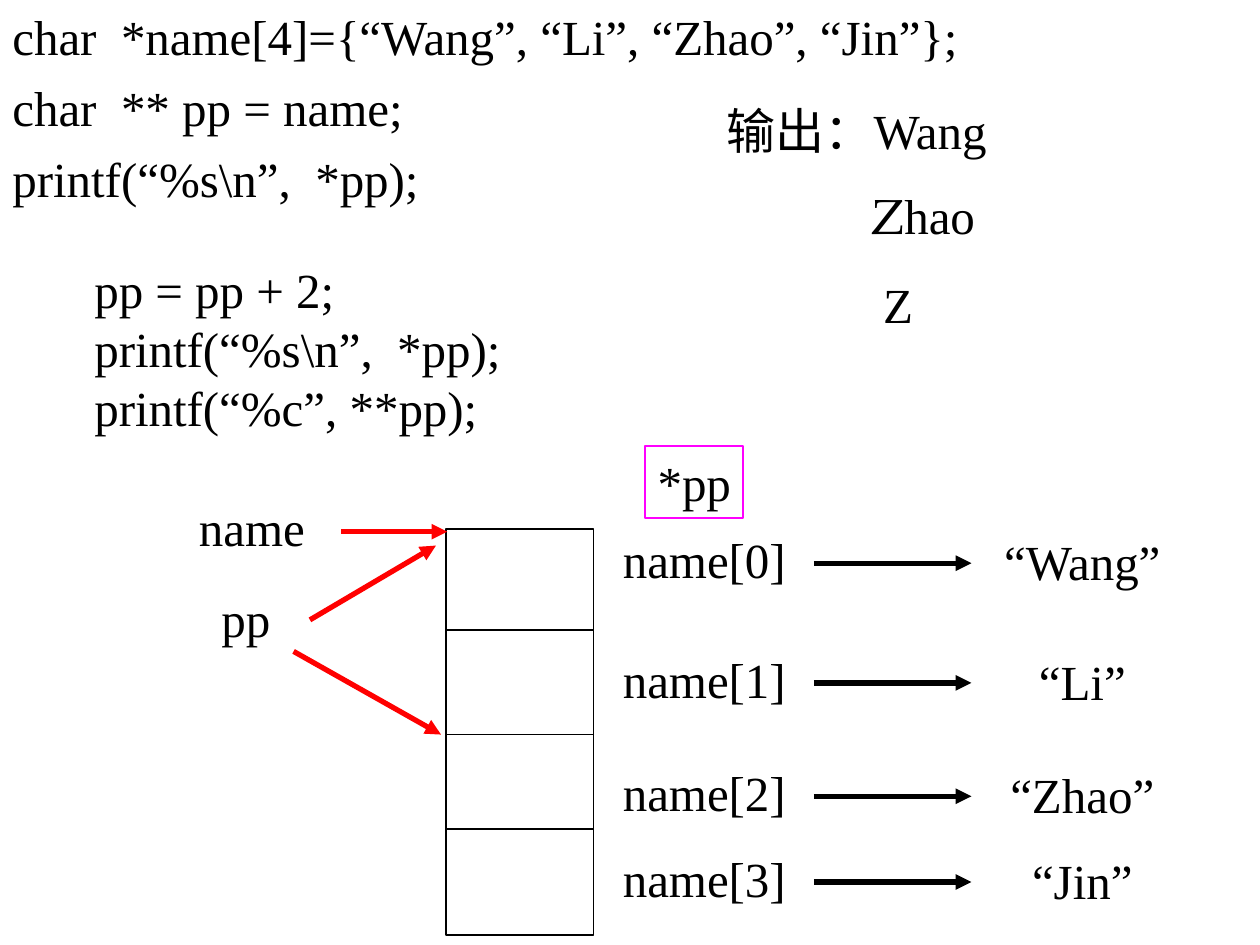
from dataclasses import dataclass
from typing import NamedTuple

from lxml import etree
from pptx import Presentation
from pptx import util as u
from pptx.dml.color import RGBColor
from pptx.enum import shapes, text
from pptx.oxml.ns import qn


@dataclass(frozen=True)
class Theme:
    font: str = "Times New Roman"
    accent: str = "TeX Gyre Pagella"
    size: int = 28
    ink: RGBColor = RGBColor(0, 0, 0)
    red: RGBColor = RGBColor(255, 0, 0)
    pink: RGBColor = RGBColor(255, 0, 255)
    thin: float = 1
    thick: float = 3


class Box(NamedTuple):
    x: float
    y: float
    w: float
    h: float


class Label(NamedTuple):
    words: str
    mid: float
    top: float
    width: float


class Row(NamedTuple):
    top: float
    value: str
    width: float


class Line(NamedTuple):
    x1: float
    y1: float
    x2: float
    y2: float


T = Theme()
HIGH = 0.57
ARRAY = Box(3.54, 4.2, 1.17, 3.22)
SPLITS = (5, 5.83, 6.58)
ROWS = (
    Row(4.15, "“Wang”", 1.47),
    Row(5.1, "“Li”", 0.89),
    Row(6, "“Zhao”", 1.34),
    Row(6.68, "“Jin”", 1),
)
POINTERS = (
    Line(2.71, 4.22, 3.55, 4.22),
    Line(2.46, 4.92, 3.46, 4.33),
    Line(2.33, 5.17, 3.5, 5.83),
)


def place(box: Box) -> list:
    return [u.Inches(n) for n in box]


def style(font) -> None:
    font.name, font.size = T.font, u.Pt(T.size)
    font.color.rgb = T.ink


def indent(para, left: float, first: float = 0) -> None:
    props = para._p.get_or_add_pPr()
    props.set("marL", str(u.Inches(left)))
    props.set("indent", str(u.Inches(first)))


def fill(frame, lines: list[str], gap: float = 0) -> None:
    frame.text = "\n".join(lines)
    for para in frame.paragraphs:
        para.space_before = u.Pt(gap)
        style(para.font)


def write(slide, box: Box, lines: list[str], gap: float = 0):
    frame = slide.shapes.add_textbox(*place(box)).text_frame
    frame.word_wrap = True
    fill(frame, lines, gap)
    return frame


def center(frame) -> None:
    frame.word_wrap = False
    frame.auto_size = text.MSO_AUTO_SIZE.SHAPE_TO_FIT_TEXT
    frame.vertical_anchor = text.MSO_ANCHOR.MIDDLE
    frame.paragraphs[0].alignment = text.PP_ALIGN.CENTER


def label(slide, item: Label) -> None:
    box = Box(item.mid - item.width / 2, item.top, item.width, HIGH)
    center(write(slide, box, [item.words]))


def frame_box(slide, box: Box, color: RGBColor):
    shape = slide.shapes.add_shape(shapes.MSO_SHAPE.RECTANGLE, *place(box))
    shape.shadow.inherit = False
    shape.fill.background()
    shape.line.color.rgb = color
    shape.line.width = u.Pt(T.thin)
    return shape


def rule(slide, line: Line, color: RGBColor, width: float, arrow: bool = False) -> None:
    ends = [u.Inches(n) for n in line]
    link = slide.shapes.add_connector(shapes.MSO_CONNECTOR.STRAIGHT, *ends)
    link.line.color.rgb = color
    link.line.width = u.Pt(width)
    if arrow:
        etree.SubElement(link.line._get_or_add_ln(), qn("a:tailEnd"), type="triangle")
    etree.SubElement(link._element.spPr, qn("a:effectLst"))


def code(slide) -> None:
    head = write(slide, Box(0, 0, 9.58, 2), [
        "char  *name[4]={“Wang”, “Li”, “Zhao”, “Jin”};",
        "char  ** pp = name;",
        "printf(“%s\\n”,  *pp);",
    ], 7)
    for para in head.paragraphs:
        indent(para, 0.38, -0.38)
    rest = write(slide, Box(0.65, 2.01, 3.52, 1.5), [
        "pp = pp + 2;", "printf(“%s\\n”,  *pp);", "printf(“%c”, **pp);",
    ])
    rest.vertical_anchor = text.MSO_ANCHOR.MIDDLE


def output(slide) -> None:
    write(slide, Box(5.67, 0.75, 2.99, HIGH), ["输出：Wang"], 17.5)
    frame = write(slide, Box(5.75, 1.42, 2.99, 1.28), ["Z", "Z"], 17.5)
    first, last = frame.paragraphs
    first.runs[0].font.name = T.accent
    first.add_run().text = "hao"
    indent(first, 1.07)
    indent(last, 1.16)


def diagram(slide) -> None:
    frame_box(slide, ARRAY, T.ink)
    for y in SPLITS:
        rule(slide, Line(ARRAY.x, y, ARRAY.x + ARRAY.w, y), T.ink, T.thin)
    for i, row in enumerate(ROWS):
        label(slide, Label(f"name[{i}]", 5.59, row.top, 1.5))
        y = row.top + 0.32
        rule(slide, Line(6.46, y, 7.71, y), T.ink, T.thick, True)
        label(slide, Label(row.value, 8.59, row.top + 0.02, row.width))
    label(slide, Label("name", 2, 3.9, 1.04))
    label(slide, Label("pp", 1.95, 4.62, 0.59))
    star = frame_box(slide, Box(5.12, 3.54, 0.78, HIGH), T.pink).text_frame
    fill(star, ["*pp"])
    center(star)
    for line in POINTERS:
        rule(slide, line, T.red, T.thick, True)


def main() -> None:
    deck = Presentation()
    deck.slide_width, deck.slide_height = u.Inches(10), u.Inches(7.5)
    slide = deck.slides.add_slide(deck.slide_layouts[6])
    code(slide)
    output(slide)
    diagram(slide)
    deck.save("out.pptx")


if __name__ == "__main__":
    main()
